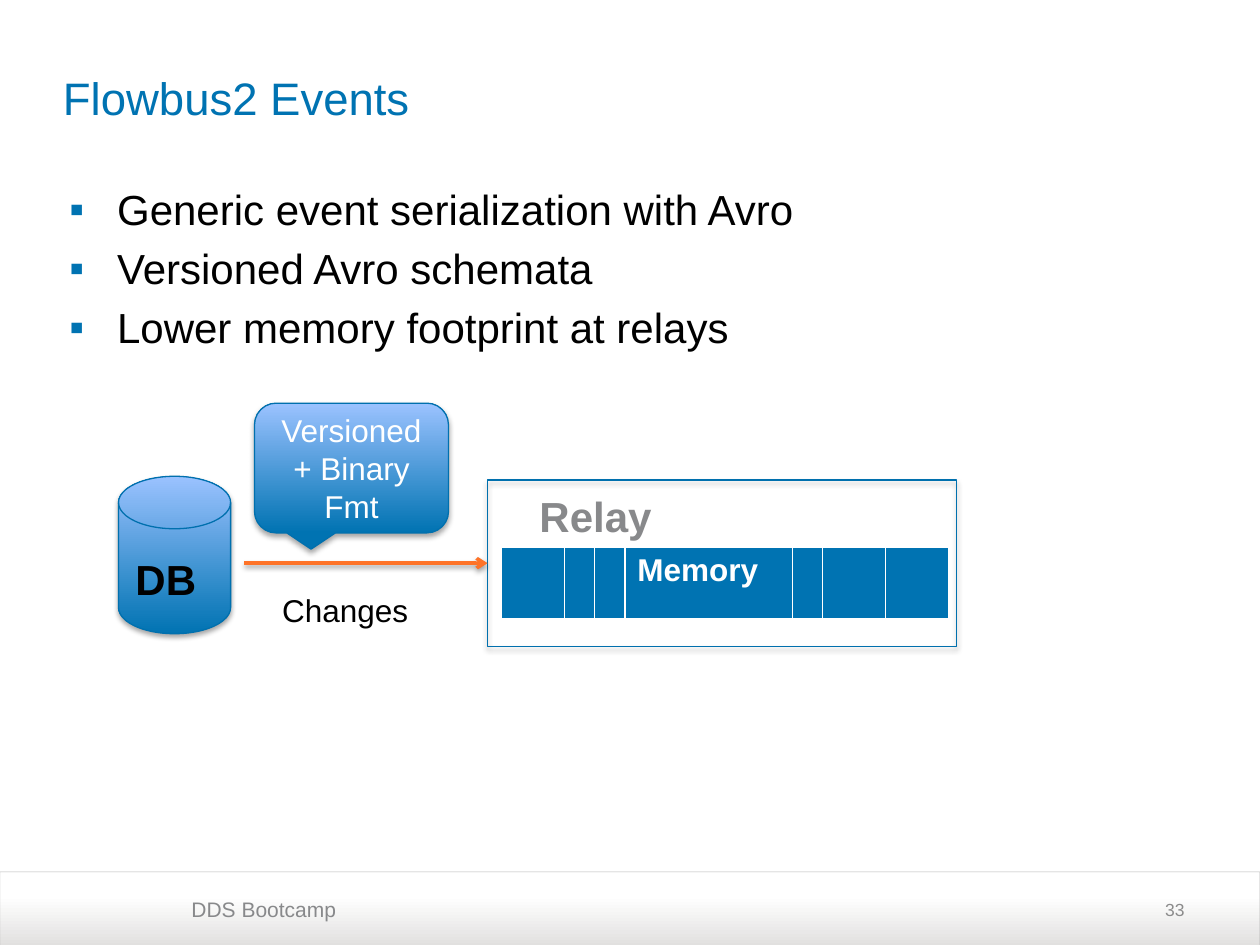
from dataclasses import dataclass

from lxml import etree
from pptx import Presentation
from pptx.dml.color import RGBColor
from pptx.enum.shapes import MSO_CONNECTOR, MSO_SHAPE
from pptx.enum.text import MSO_ANCHOR, PP_ALIGN
from pptx.oxml.ns import qn
from pptx.util import Emu, Inches, Pt

LEFT, MID, RIGHT = PP_ALIGN.LEFT, PP_ALIGN.CENTER, PP_ALIGN.RIGHT
TOP, CENTER = MSO_ANCHOR.TOP, MSO_ANCHOR.MIDDLE
BAND, RECT = MSO_SHAPE.ROUND_2_SAME_RECTANGLE, MSO_SHAPE.RECTANGLE
DISK = MSO_SHAPE.FLOWCHART_MAGNETIC_DISK
BUBBLE = MSO_SHAPE.ROUNDED_RECTANGULAR_CALLOUT
STRAIGHT = MSO_CONNECTOR.STRAIGHT

# The slide is a grid of 100 columns and 75 rows.
COLS, ROWS = 100, 75
WIDTH, HEIGHT = Inches(10), Inches(7.5)
HANG = Inches(0.38)


@dataclass(frozen=True)
class Theme:
    font: str = "Arial"
    blue: str = "0073B2"
    sky: str = "9BC2FF"
    edge: str = "0070AE"
    orange: str = "FE7328"
    black: str = "000000"
    white: str = "FFFFFF"
    gray: str = "88898B"
    pale: str = "8C8C8C"
    smoke: str = "E1E0DF"
    rim: str = "A6A6A6"
    title: float = 26
    large: float = 24
    text: float = 18
    foot: float = 12
    page: float = 10


T = Theme()


@dataclass(frozen=True)
class Box:
    x: float
    y: float
    w: float
    h: float

    def place(self) -> tuple[Emu, Emu, Emu, Emu]:
        return across(self.x), down(self.y), across(self.w), down(self.h)


@dataclass(frozen=True)
class Label:
    box: Box
    lines: tuple[str, ...]
    size: float
    color: str
    bold: bool = False
    align: PP_ALIGN = LEFT
    anchor: MSO_ANCHOR = TOP
    inset: tuple[float, float] = (0.1, 0.1)
    wrap: bool = True
    hang: bool = False
    bullet: str = ""


@dataclass(frozen=True)
class Form:
    kind: MSO_SHAPE
    box: Box
    stops: tuple[tuple[str, float], ...] = ()
    edge: str = T.edge
    width: float = 0.75
    shade: bool = True


def across(cols: float) -> Emu:
    return Emu(round(WIDTH * cols / COLS))


def down(rows: float) -> Emu:
    return Emu(round(HEIGHT * rows / ROWS))


def node(parent, tag: str, **attrs):
    return etree.SubElement(parent, qn(tag), {k: str(v) for k, v in attrs.items()})


def tint(parent, color: str, alpha: int = 100) -> None:
    rgb = node(parent, "a:srgbClr", val=color)
    if alpha < 100:
        node(rgb, "a:alpha", val=alpha * 1000)


def shade(props, alpha: int, dist: float) -> None:
    """Drop a soft shadow straight down; fill and line must be set before."""
    fx = node(props, "a:effectLst")
    drop = node(fx, "a:outerShdw", blurRad=Pt(3.1), dist=Pt(dist),
                dir=5400000, rotWithShape=0)
    tint(drop, T.black, alpha)


def write(par, text: str, size: float, color: str, bold: bool = False) -> None:
    run = par.add_run()
    run.text = text
    look = {"name": T.font, "size": Pt(size), "bold": bold}
    for key, value in look.items():
        setattr(run.font, key, value)
    run.font.color.rgb = RGBColor.from_string(color)


def indent(par, bullet: str) -> None:
    """Hang the first line and add the 20% gap, with a bullet if given."""
    props = par._p.get_or_add_pPr()
    props.set("marL", str(HANG))
    props.set("indent", str(-HANG))
    node(node(props, "a:spcBef"), "a:spcPct", val=20000)
    if bullet:
        tint(node(props, "a:buClr"), T.blue)
        node(props, "a:buFont", typeface=T.font)
        node(props, "a:buChar", char=bullet)
    else:
        node(props, "a:buNone")


def fit(frame, label: Label) -> None:
    left, right = label.inset
    look = {"word_wrap": label.wrap, "vertical_anchor": label.anchor,
            "margin_left": Inches(left), "margin_right": Inches(right),
            "margin_top": Inches(0.05), "margin_bottom": Inches(0.05)}
    for key, value in look.items():
        setattr(frame, key, value)
    for i, line in enumerate(label.lines):
        par = frame.add_paragraph() if i else frame.paragraphs[0]
        par.alignment = label.align
        if label.hang:
            indent(par, label.bullet)
        write(par, line, label.size, label.color, label.bold)


def add_label(slide, label: Label) -> None:
    fit(slide.shapes.add_textbox(*label.box.place()).text_frame, label)


def add_form(slide, form: Form):
    shape = slide.shapes.add_shape(form.kind, *form.box.place())
    if form.stops:
        shape.fill.gradient()
        shape.fill.gradient_angle = 90
        for stop, (color, spot) in zip(shape.fill.gradient_stops, form.stops):
            stop.color.rgb = RGBColor.from_string(color)
            stop.position = spot
    else:
        shape.fill.background()
    shape.line.color.rgb = RGBColor.from_string(form.edge)
    shape.line.width = Pt(form.width)
    if form.shade:
        shade(shape._element.spPr, 35, 1.8)
    else:
        shape.shadow.inherit = False
    return shape


def add_arrow(slide, x1: float, x2: float, y: float) -> None:
    arrow = slide.shapes.add_connector(
        STRAIGHT, across(x1), down(y), across(x2), down(y))
    arrow.line.color.rgb = RGBColor.from_string(T.orange)
    arrow.line.width = Pt(2)
    props = arrow._element.spPr
    node(props.find(qn("a:ln")), "a:tailEnd", type="arrow")
    shade(props, 38, 1.6)


def add_memory(slide, box: Box, widths: tuple[float, ...], named: int) -> None:
    table = slide.shapes.add_table(1, len(widths), *box.place()).table
    table.first_row = table.horz_banding = False
    for i, width in enumerate(widths):
        table.columns[i].width = across(width)
        cell = table.cell(0, i)
        props = cell._tc.get_or_add_tcPr()
        for side, weight in {"L": 1, "R": 1, "T": 1, "B": 3}.items():
            line = node(props, f"a:ln{side}", w=Pt(weight))
            tint(node(line, "a:solidFill"), T.white)
        cell.fill.solid()
        cell.fill.fore_color.rgb = RGBColor.from_string(T.blue)
        if i == named:
            write(cell.text_frame.paragraphs[0], "Memory", T.text, T.white, True)


def main() -> None:
    deck = Presentation()
    deck.slide_width, deck.slide_height = WIDTH, HEIGHT
    slide = deck.slides.add_slide(deck.slide_layouts[6])
    glow = ((T.blue, 0), (T.sky, 1))
    flush = (0, 0.1)

    band = add_form(slide, Form(BAND, Box(0, 69.2, 100, 5.9),
                                ((T.smoke, 0), (T.white, 0.68)), T.rim, 0.25, False))
    band.adjustments[0] = band.adjustments[1] = 0
    rim = band._element.spPr.find(qn("a:ln")).find(".//" + qn("a:srgbClr"))
    node(rim, "a:alpha", val=79000)

    points = ("Generic event serialization with Avro", "Versioned Avro schemata",
              "Lower memory footprint at relays")
    for label in (
        Label(Box(15.2, 70.7, 31, 3.4), ("DDS Bootcamp",), T.foot, T.gray,
              inset=flush, hang=True),
        Label(Box(5, 2.2, 90, 11), ("Flowbus2 Events",), T.title, T.blue,
              anchor=CENTER, inset=(0, 0)),
        Label(Box(5.5, 14.1, 90, 52), points, T.large, T.black,
              inset=flush, hang=True, bullet="▪"),
        Label(Box(71.7, 70.2, 23.3, 4), ("33",), T.page, T.pale,
              align=RIGHT, anchor=CENTER),
    ):
        add_label(slide, label)

    add_form(slide, Form(DISK, Box(9.4, 37.8, 8.9, 12.5), glow))
    add_label(slide, Label(Box(9.1, 43.4, 9.1, 5), ("DB",), T.large, T.black, True,
                           MID, inset=flush, wrap=False, hang=True))
    add_memory(slide, Box(39.8, 43.4, 35.2, 5.8),
               (5, 2.3, 2.3, 13.3, 2.3, 5, 5), named=3)
    add_label(slide, Label(Box(30.3, 38.4, 34.9, 5), ("Relay",), T.large, T.gray,
                           True, MID, inset=flush, wrap=False, hang=True))
    add_form(slide, Form(RECT, Box(38.7, 38.1, 37.2, 13.2)))
    add_arrow(slide, 19.4, 38.7, 44.7)
    add_label(slide, Label(Box(21.4, 46.4, 14.2, 4), ("Changes",), T.text, T.black))

    place = Box(20.2, 32, 15.4, 10.3)
    bubble = add_form(slide, Form(BUBBLE, place, glow))
    fit(bubble.text_frame, Label(place, ("Versioned + Binary Fmt",), T.text, T.white,
                                 align=MID, anchor=CENTER))
    deck.save("out.pptx")


if __name__ == "__main__":
    main()
